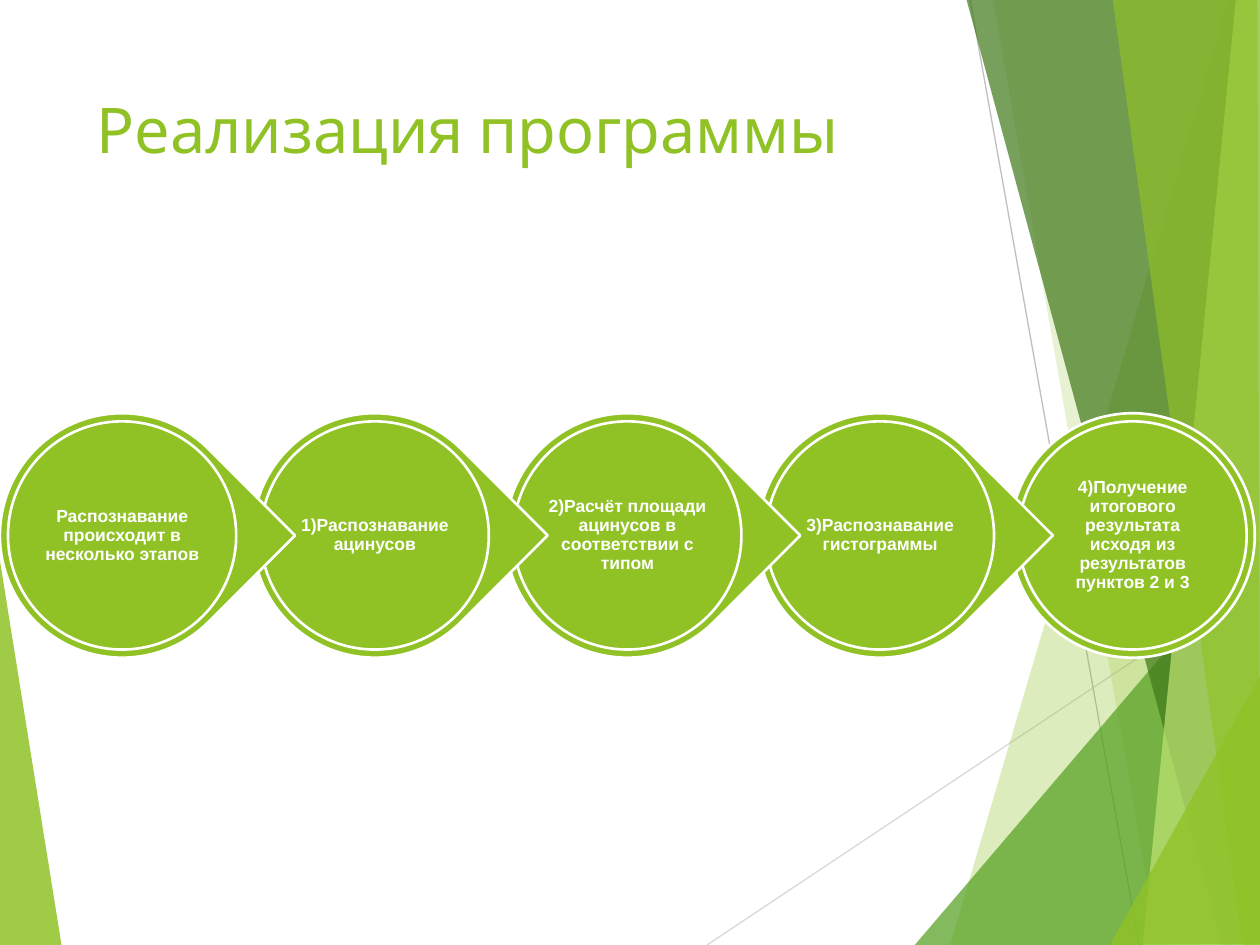
from dataclasses import dataclass

from lxml import etree
from pptx import Presentation
from pptx.dml.color import RGBColor
from pptx.enum import shapes, text
from pptx.oxml.ns import qn
from pptx.util import Pt

GREEN, WHITE = "90C226", "FFFFFF"
WIDTH, HEIGHT = 720, 540


@dataclass(frozen=True)
class Facet:
    points: list[tuple[float, float]]
    color: str
    opacity: int


@dataclass(frozen=True)
class Ray:
    start: tuple[float, float]
    end: tuple[float, float]
    color: str


FACETS = [
    Facet([(-0.7, 316), (35.3, 540.7), (-0.7, 540)], GREEN, 85),
    Facet([(702, 0), (543, 540), (721.4, 540.7), (720.7, 0.7)], GREEN, 30),
    Facet([(567.4, -0.7), (661.7, 540), (720.7, 540), (720.7, -0.7)], GREEN, 20),
    Facet([(522.7, 540), (720, 309), (720.7, 540)], "54A021", 72),
    Facet([(552.2, -0.7), (698.4, 540), (720.7, 539.3), (720.7, -0.7)], "3F7819", 70),
    Facet([(706.3, -0.7), (653, 540), (720.7, 540), (720, -0.7)], "C0E474", 70),
    Facet([(635.8, -0.7), (710, 540), (720, 540), (718.6, -0.7)], GREEN, 65),
    Facet([(634.3, 540), (720.7, 385.2), (720.7, 539.3)], GREEN, 80),
]
RAYS = [
    Ray((404, 540), (720.7, 329), "D9D9D9"),
    Ray((554.4, 0), (650.9, 540), "BFBFBF"),
]
STAGES = [
    "Распознавание происходит в несколько этапов",
    "1)Распознавание ацинусов",
    "2)Расчёт площади ацинусов в соответствии с типом",
    "3)Распознавание гистограммы",
    "4)Получение итогового результата исходя из результатов пунктов 2 и 3",
]
FIRST_CENTER, STAGE_STEP, MIDDLE = 69.8, 144.35, 306
OUTER, INNER, LABEL = 139.7, 130.4, 92.9


def rgb(color: str) -> RGBColor:
    return RGBColor.from_string(color)


def paint(shape, color: str, outline: str | None = None) -> None:
    shape.shadow.inherit = False
    shape.fill.solid()
    shape.fill.fore_color.rgb = rgb(color)
    if outline:
        shape.line.color.rgb = rgb(outline)
        shape.line.width = Pt(1.5)
    else:
        shape.line.fill.background()


def centered_square(center: float, size: float) -> tuple:
    """Left, top, width and height of a square on the row of stages."""
    return Pt(center - size / 2), Pt(MIDDLE - size / 2), Pt(size), Pt(size)


def draw_facet(slide, facet: Facet) -> None:
    first, *rest = [(Pt(x), Pt(y)) for x, y in facet.points]
    builder = slide.shapes.build_freeform(*first)
    builder.add_line_segments(rest, close=True)
    shape = builder.convert_to_shape()
    paint(shape, facet.color)
    color_xml = shape.fill._xPr.find(qn("a:solidFill"))[0]
    etree.SubElement(color_xml, qn("a:alpha"), val=str(facet.opacity * 1000))


def draw_ray(slide, ray: Ray) -> None:
    line = slide.shapes.add_connector(
        shapes.MSO_CONNECTOR.STRAIGHT,
        *(Pt(value) for value in ray.start + ray.end))
    line.line.color.rgb = rgb(ray.color)
    line.line.width = Pt(0.75)
    etree.SubElement(line._element.spPr, qn("a:effectLst"))


def draw_stage(slide, index: int) -> None:
    center = FIRST_CENTER + index * STAGE_STEP
    is_last = index == len(STAGES) - 1
    preset = shapes.MSO_SHAPE.OVAL if is_last else shapes.MSO_SHAPE.TEAR
    marker = slide.shapes.add_shape(preset, *centered_square(center, OUTER))
    if not is_last:
        marker.rotation = 45
    paint(marker, GREEN, WHITE)
    ring = slide.shapes.add_shape(
        shapes.MSO_SHAPE.OVAL, *centered_square(center, INNER))
    paint(ring, GREEN, WHITE)

    label = slide.shapes.add_textbox(*centered_square(center, LABEL)).text_frame
    label.word_wrap = True
    label.vertical_anchor = text.MSO_ANCHOR.MIDDLE
    label.margin_left = label.margin_right = Pt(1)
    label.margin_top = label.margin_bottom = Pt(1)
    label.text = STAGES[index]
    paragraph = label.paragraphs[0]
    paragraph.alignment = text.PP_ALIGN.CENTER
    paragraph.line_spacing = 0.9
    paragraph.font.name = "Arial"
    paragraph.font.size = Pt(10)
    paragraph.font.bold = True
    paragraph.font.color.rgb = rgb(WHITE)


def draw_title(slide) -> None:
    title = slide.shapes.title
    title.left, title.top = Pt(48), Pt(48)
    title.width, title.height = Pt(500), Pt(104)
    frame = title.text_frame
    frame.text = "Реализация программы"
    frame.auto_size = text.MSO_AUTO_SIZE.NONE
    frame.vertical_anchor = text.MSO_ANCHOR.TOP
    heading = frame.paragraphs[0]
    heading.alignment = text.PP_ALIGN.LEFT
    heading.font.name = "Cabin"
    heading.font.size = Pt(36)
    heading.font.color.rgb = rgb(GREEN)


def main() -> None:
    deck = Presentation()
    deck.slide_width, deck.slide_height = Pt(WIDTH), Pt(HEIGHT)
    slide = deck.slides.add_slide(deck.slide_layouts[5])
    draw_title(slide)
    corner, *fan = FACETS
    draw_facet(slide, corner)
    for ray in RAYS:
        draw_ray(slide, ray)
    for facet in fan:
        draw_facet(slide, facet)
    # Later stages go first so that each tip overlaps the next circle.
    for index in reversed(range(len(STAGES))):
        draw_stage(slide, index)
    deck.save("out.pptx")


if __name__ == "__main__":
    main()
